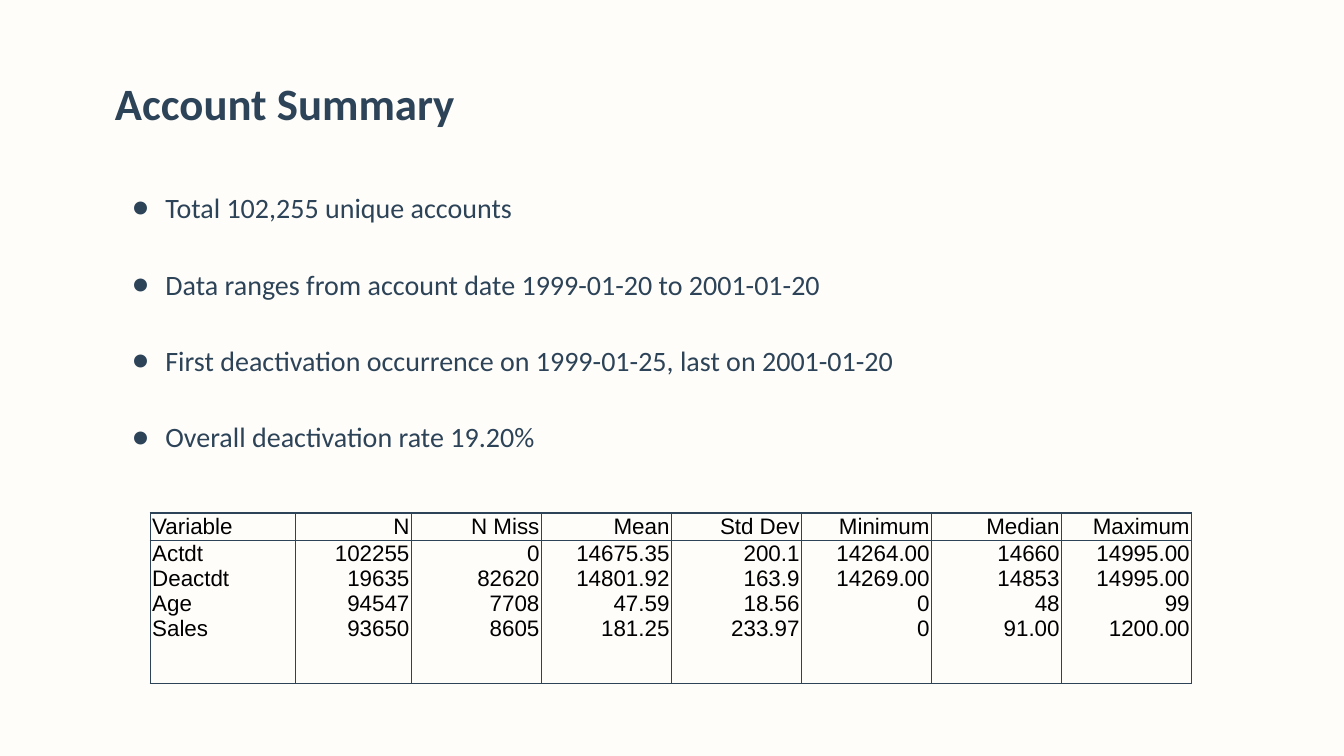
from lxml.etree import SubElement
from pptx import Presentation
from pptx.dml.color import RGBColor
from pptx.enum.text import MSO_ANCHOR, MSO_AUTO_SIZE, PP_ALIGN
from pptx.oxml.ns import qn
from pptx.util import Inches, Pt

NAVY, BLACK, CREAM = "2C4358", "000000", "FFFDFA"
MARGIN = 1.04
INSET = 0.1


def color(hex_value):
    return RGBColor.from_string(hex_value)


def style(paragraph, font_name, size, hex_value, bold=False):
    for run in paragraph.runs:
        run.font.name = font_name
        run.font.size = Pt(size)
        run.font.bold = bold
        run.font.color.rgb = color(hex_value)


deck = Presentation()
deck.slide_width, deck.slide_height = Inches(13.33), Inches(7.5)
slide = deck.slides.add_slide(deck.slide_layouts[1])
slide.background.fill.solid()
slide.background.fill.fore_color.rgb = color(CREAM)

heading, facts = slide.shapes.title, slide.placeholders[1]
for holder, top, width, height in ((heading, 0.65, 11.25, 0.84), (facts, 1.74, 8.88, 3.09)):
    holder.left, holder.top = Inches(MARGIN), Inches(top)
    holder.width, holder.height = Inches(width), Inches(height)
    frame = holder.text_frame
    frame.margin_left = frame.margin_right = Inches(INSET)
    frame.margin_top = frame.margin_bottom = Inches(INSET)
    frame.vertical_anchor = MSO_ANCHOR.TOP
    frame.word_wrap = True
    frame.auto_size = MSO_AUTO_SIZE.NONE

heading.text_frame.text = "Account Summary"
heading.text_frame.paragraphs[0].alignment = PP_ALIGN.LEFT
style(heading.text_frame.paragraphs[0], "Calibri", 32, NAVY, bold=True)

facts.text_frame.text = "\n".join([
    "Total 102,255 unique accounts",
    "Data ranges from account date 1999-01-20 to 2001-01-20",
    "First deactivation occurrence on 1999-01-25, last on 2001-01-20",
    "Overall deactivation rate 19.20%",
])
for fact in facts.text_frame.paragraphs:
    style(fact, "Calibri", 20, NAVY)
    fact.line_spacing = 1.15
    fact.space_before = Pt(0)
    fact.space_after = Pt(27)
    properties = fact._p.get_or_add_pPr()
    properties.set("marL", str(Inches(0.5)))
    properties.set("indent", str(Inches(-0.33)))
    bullet_color = SubElement(properties, qn("a:buClr"))
    SubElement(bullet_color, qn("a:srgbClr"), val=NAVY)
    SubElement(properties, qn("a:buFont"), typeface="Calibri")
    SubElement(properties, qn("a:buChar"), char="●")

statistics = [
    ("Variable", ["Actdt", "Deactdt", "Age", "Sales"]),
    ("N", ["102255", "19635", "94547", "93650"]),
    ("N Miss", ["0", "82620", "7708", "8605"]),
    ("Mean", ["14675.35", "14801.92", "47.59", "181.25"]),
    ("Std Dev", ["200.1", "163.9", "18.56", "233.97"]),
    ("Minimum", ["14264.00", "14269.00", "0", "0"]),
    ("Median", ["14660", "14853", "48", "91.00"]),
    ("Maximum", ["14995.00", "14995.00", "99", "1200.00"]),
]
column_widths = [1.44, 1.15] + [1.29] * 6
row_heights = [0.27, 1.42]
summary = slide.shapes.add_table(
    len(row_heights), len(statistics), Inches(1.49), Inches(5.09),
    Inches(sum(column_widths)), Inches(sum(row_heights))).table
summary.first_row = summary.horz_banding = False
for row, height in zip(summary.rows, row_heights):
    row.height = Inches(height)

for index, (label, values) in enumerate(statistics):
    summary.columns[index].width = Inches(column_widths[index])
    for row_index, content in enumerate((label, "\n".join(values))):
        cell = summary.cell(row_index, index)
        cell.margin_left = cell.margin_right = Inches(0.02)
        cell.margin_top = cell.margin_bottom = Inches(0.01)
        cell.text_frame.text = content
        for paragraph in cell.text_frame.paragraphs:
            paragraph.alignment = PP_ALIGN.RIGHT if index else PP_ALIGN.LEFT
            style(paragraph, "Arial", 16, BLACK)
        for side in ("a:lnL", "a:lnR", "a:lnT", "a:lnB"):
            border = SubElement(cell._tc.get_or_add_tcPr(), qn(side), w=str(Pt(1)))
            border_fill = SubElement(border, qn("a:solidFill"))
            SubElement(border_fill, qn("a:srgbClr"), val=NAVY)
        cell.fill.background()

deck.save("out.pptx")
